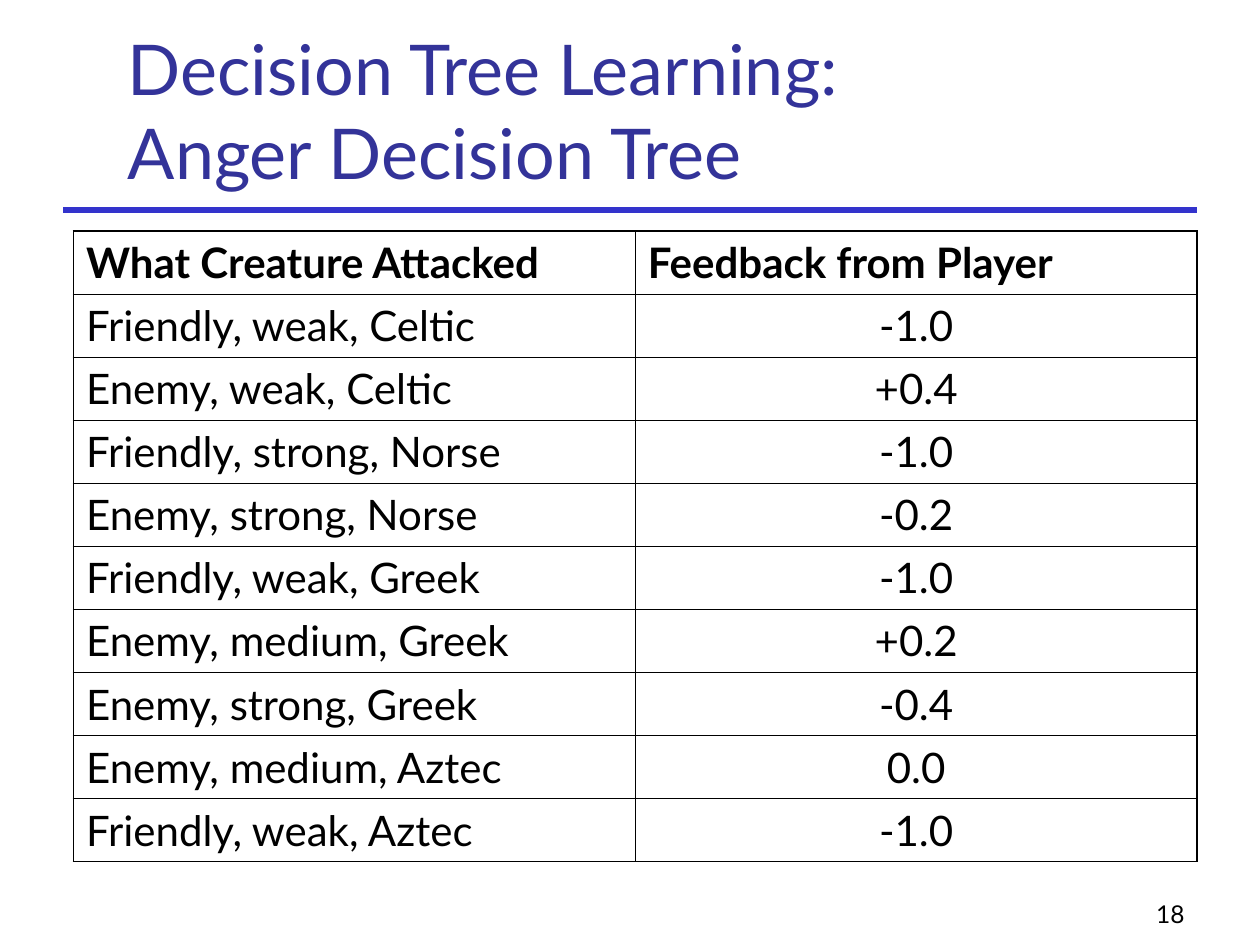
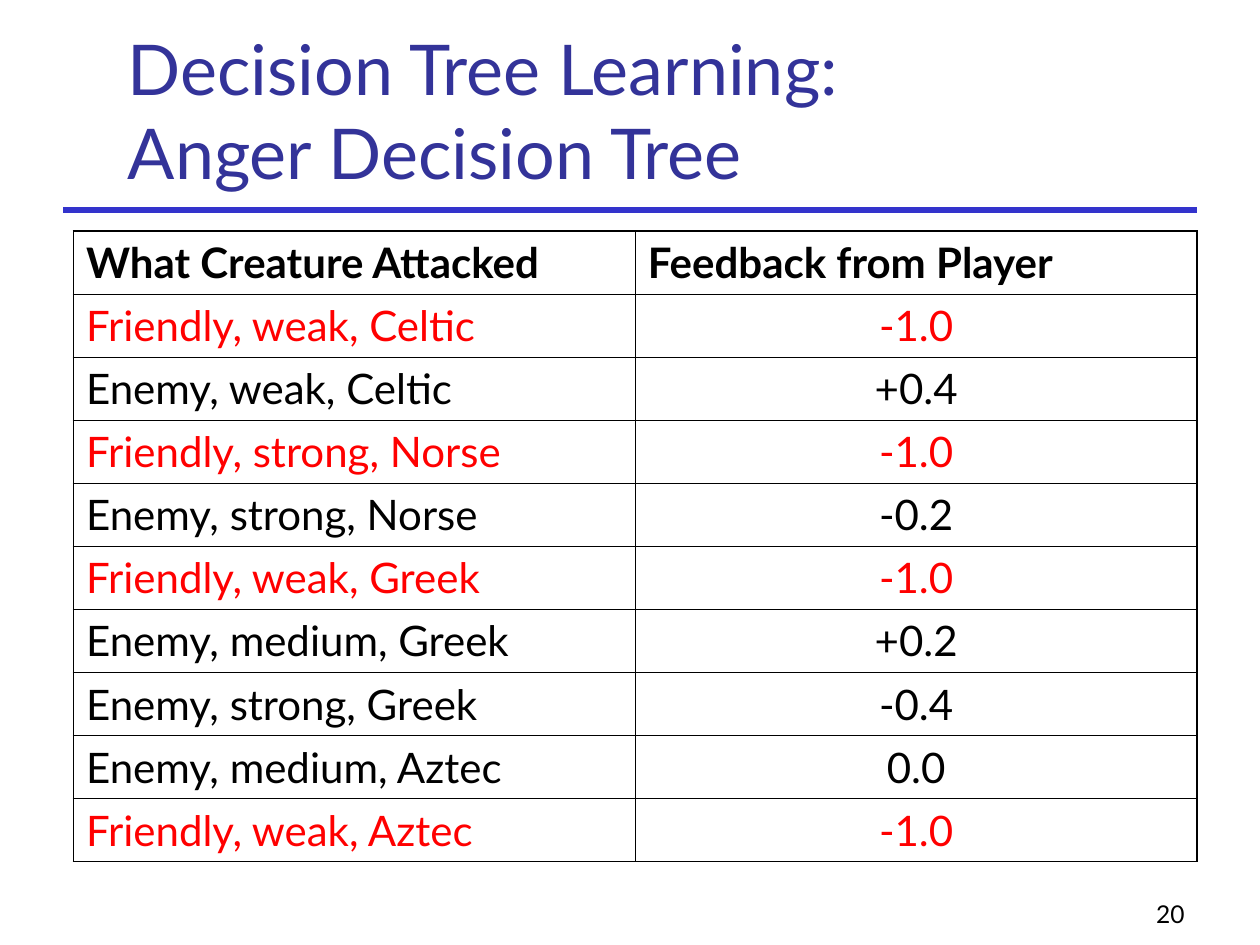
from lxml.etree import SubElement as Sub
from pptx import Presentation
from pptx.dml.color import RGBColor as RGB
from pptx.enum.shapes import MSO_CONNECTOR as Conn
from pptx.enum.text import MSO_ANCHOR as Anchor, PP_ALIGN as Align
from pptx.oxml.ns import qn
from pptx.util import Pt

TITLE = "Decision Tree Learning:\nAnger Decision Tree"
HEAD = ("What Creature Attacked", "Feedback from Player")
ROWS = [
    ("Friendly, weak, Celtic", "-1.0"),
    ("Enemy, weak, Celtic", "+0.4"),
    ("Friendly, strong, Norse", "-1.0"),
    ("Enemy, strong, Norse", "-0.2"),
    ("Friendly, weak, Greek", "-1.0"),
    ("Enemy, medium, Greek", "+0.2"),
    ("Enemy, strong, Greek", "-0.4"),
    ("Enemy, medium, Aztec", "0.0"),
    ("Friendly, weak, Aztec", "-1.0"),
]
BLACK = RGB(0x00, 0x00, 0x00)
RED = RGB(0xFF, 0x00, 0x00)
NAVY = RGB(0x33, 0x33, 0x99)
BLUE = RGB(0x33, 0x33, 0xCC)
SLIDES = [("18", BLACK), ("20", RED)]

FONT = "Lato"
LEFT, TOP, WIDE, HIGH = 42, 132, 642, 36
THICK, THIN = Pt(1.08), Pt(0.45)


def write(frame, text, size, color, align=Align.LEFT, bold=False):
    para = frame.paragraphs[0]
    para.text = text
    para.alignment = align
    font = para.font
    font.name, font.size, font.bold = FONT, Pt(size), bold
    font.color.rgb = color
    return para


def add_text(slide, box, *style):
    frame = slide.shapes.add_textbox(*map(Pt, box)).text_frame
    frame.word_wrap = True
    frame.vertical_anchor = Anchor.BOTTOM
    write(frame, *style)


def add_rule(slide):
    rule = slide.shapes.add_connector(Conn.STRAIGHT, Pt(36), Pt(120), Pt(684), Pt(120))
    rule.line.color.rgb = BLUE
    rule.line.width = Pt(3)
    Sub(rule._element.spPr, qn("a:effectLst"))


def edge(cell, outer):
    props = cell._tc.get_or_add_tcPr()
    for side, thick in outer.items():
        line = Sub(props, qn("a:ln" + side), w=str(THICK if thick else THIN))
        fill = Sub(line, qn("a:solidFill"))
        Sub(fill, qn("a:srgbClr"), val=str(BLACK))


def add_grid(slide, mark):
    data = [HEAD] + ROWS
    last, end = len(data) - 1, len(HEAD) - 1
    box = LEFT, TOP, WIDE, HIGH * len(data)
    grid = slide.shapes.add_table(len(data), len(HEAD), *map(Pt, box)).table
    grid.first_row = grid.horz_banding = False
    for r, row in enumerate(data):
        color = mark if row[0].startswith("Friendly") else BLACK
        for c, text in enumerate(row):
            cell = grid.cell(r, c)
            align = Align.CENTER if r and c else Align.LEFT
            para = write(cell.text_frame, text, 24, color, align, r == 0)
            para.space_before = Pt(6)
            edge(cell, {"L": c == 0, "R": c == end, "T": r == 0, "B": r == last})
            cell.fill.background()


def main():
    deck = Presentation()
    deck.slide_width, deck.slide_height = Pt(720), Pt(540)
    for page, mark in SLIDES:
        slide = deck.slides.add_slide(deck.slide_layouts[6])
        add_rule(slide)
        add_text(slide, (534, 498, 150, 36), page, 14, BLACK, Align.RIGHT)
        add_text(slide, (66, 24, 613.5, 90), TITLE, 40, NAVY)
        add_grid(slide, mark)
    deck.save("out.pptx")


if __name__ == "__main__":
    main()
